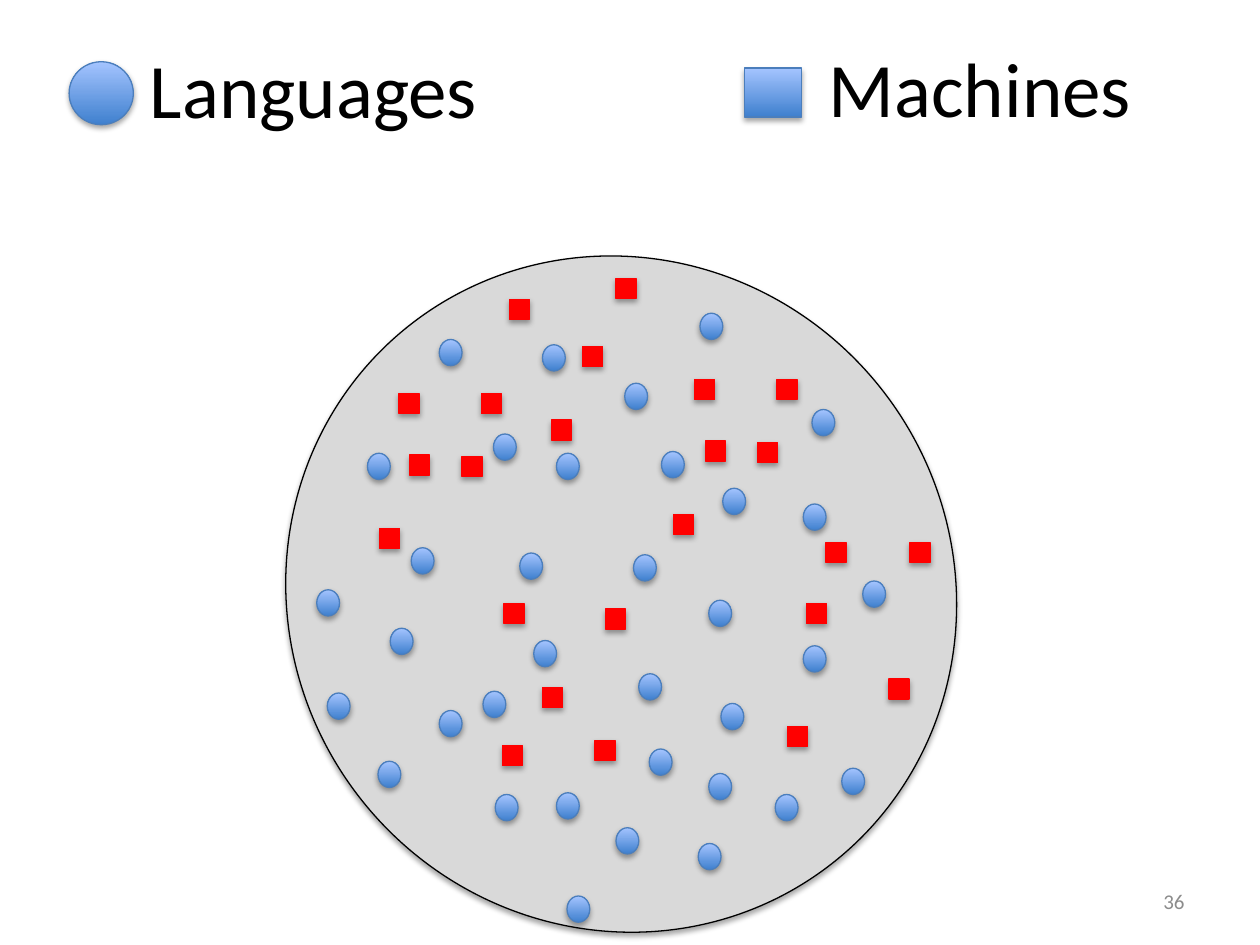
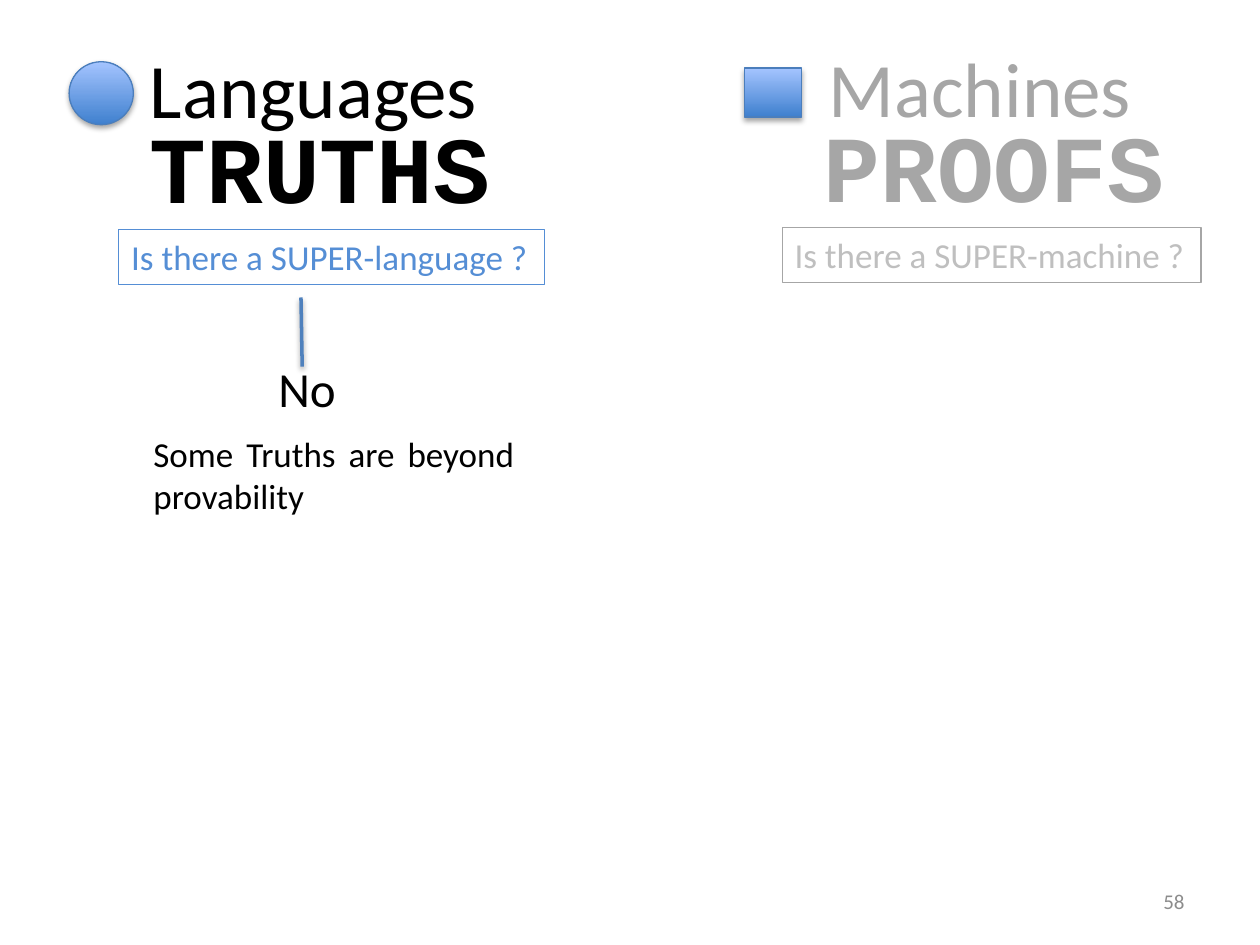
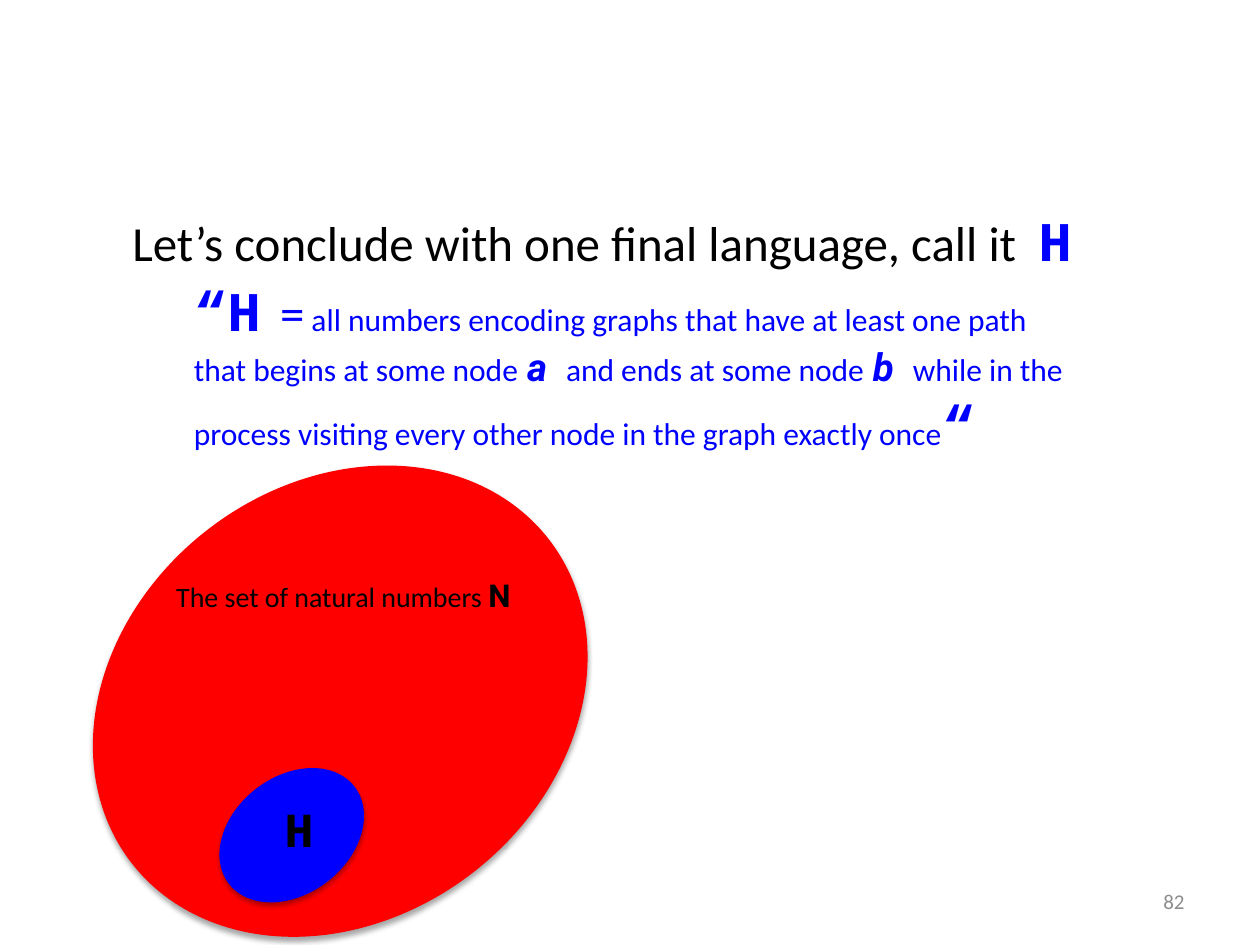
from dataclasses import dataclass, replace

from pptx import Presentation, util as u
from pptx.dml.color import RGBColor
from pptx.enum import shapes, text
from pptx.oxml import parse_xml
from pptx.oxml.ns import nsdecls

Pt = u.Pt


@dataclass(frozen=True)
class Style:
    size: int
    colour: str
    font: str = "Calibri"
    bold: bool = False
    italic: bool = False


class Theme:
    black, red, blue, grey = "000000", "FF0000", "0000FF", "A6A6A6"
    disc, sky, pale, connector = "D9D9D9", "558ED5", "BFBFBF", "4F81BD"
    dot_bottom, dot_top, dot_line = "3F80CE", "A4C4FF", "4B7EBC"
    mono, accent = "Courier New", "Roboto"
    heading, banner, answer = 44, 54, 28
    question, small, number = 20, 18, 12
    thin, tilt = 0.75, 322.2


OVAL = shapes.MSO_SHAPE.OVAL
SQUARE = shapes.MSO_SHAPE.RECTANGLE
LEFT, RIGHT, JUSTIFY = text.PP_ALIGN.LEFT, text.PP_ALIGN.RIGHT, text.PP_ALIGN.JUSTIFY

deck = Presentation()
deck.slide_width, deck.slide_height = Pt(720), Pt(540)
shadowed = []


def write(box, place, spans, align=LEFT, wrap=False, anchor=text.MSO_ANCHOR.TOP):
    """Place a text box or title and fill it with (words, style) spans."""
    box.left, box.top, box.width, box.height = map(Pt, place)
    frame = box.text_frame
    frame.auto_size = text.MSO_AUTO_SIZE.NONE
    frame.word_wrap, frame.vertical_anchor = wrap, anchor
    para = frame.paragraphs[0]
    para.alignment = align
    for words, style in spans:
        span = para.add_run()
        span.text = words
        font = para.font if len(spans) == 1 else span.font
        font.name, font.size = style.font, Pt(style.size)
        font.bold, font.italic = style.bold, style.italic
        font.color.rgb = RGBColor.from_string(style.colour)


def add_mark(page, kind, place, fill=None, line=None, rotation=0):
    """Add a shadowed shape; without a fill it gets the blue language gradient."""
    mark = page.shapes.add_shape(kind, *map(Pt, place))
    mark.rotation = rotation
    if fill:
        mark.fill.solid()
        mark.fill.fore_color.rgb = RGBColor.from_string(fill)
    else:
        mark.fill.gradient()
        mark.fill.gradient_angle = 90
        for stop, colour in zip(mark.fill.gradient_stops, (Theme.dot_bottom, Theme.dot_top)):
            stop.color.rgb = RGBColor.from_string(colour)
    mark.line.color.rgb = RGBColor.from_string(line or fill or Theme.dot_line)
    mark.line.width = Pt(Theme.thin)
    shadowed.append(mark)


# Shared: one title-only page per slide number
pages = []
for number in (36, 58, 82):
    page = deck.slides.add_slide(deck.slide_layouts[5])
    write(page.shapes.add_textbox(0, 0, 0, 0), (516, 500.5, 168, 28.75),
          [(str(number), Style(Theme.number, "8C8C8C"))],
          RIGHT, True, text.MSO_ANCHOR.MIDDLE)
    pages.append(page)
universe, questions, conclusion = pages

# Languages and machines scattered over one disc
add_mark(universe, OVAL, (165.6, 144, 378.7, 391), Theme.disc, Theme.black, Theme.tilt)

language_dots = [
    (210, 259), (318, 259), (305, 366), (297, 316), (235, 313),
    (276, 395), (365, 385), (443, 454), (371, 428), (283, 454),
    (405, 343), (493, 332), (481, 439), (459, 369), (412, 402),
    (318, 453), (405, 442), (399, 482), (352, 473), (324, 512),
    (378, 258), (464, 234), (459, 288), (413, 279), (362, 317),
    (251, 194), (400, 179), (357, 219), (310, 197), (282, 248),
    (181, 337), (223, 359), (251, 406), (216, 435), (187, 396),
]
machine_squares = [
    (288, 345), (310, 393), (346, 348), (340, 423), (287, 426),
    (472, 310), (461, 345), (520, 310), (508, 388), (450, 415),
    (397, 217), (403, 252), (444, 217), (433, 253), (385, 294),
    (291, 171), (333, 198), (352, 159), (315, 240),
    (228, 225), (234, 260), (275, 225), (264, 261), (217, 302),
]
for left, top in language_dots:
    add_mark(universe, OVAL, (left, top, 13, 15))
for left, top in machine_squares:
    add_mark(universe, SQUARE, (left, top, 11.5, 11.5), Theme.red)

# Heading legend of the first two slides
for page, square_colour, machine_colour in (
        (universe, Theme.red, Theme.black), (questions, Theme.grey, Theme.grey)):
    write(page.shapes.title, (78.5, 20.2, 203.8, 60.5),
          [("Languages", Style(Theme.heading, Theme.black))])
    write(page.shapes.add_textbox(0, 0, 0, 0), (466.5, 19.5, 188.6, 60.5),
          [("Machines", Style(Theme.heading, machine_colour))])
    add_mark(page, OVAL, (39.5, 35.3, 36.7, 36))
    add_mark(page, SQUARE, (425.5, 38.9, 32.4, 28))

# Truths and proofs, each with its question
for banner, left, top, colour in (
        ("TRUTHS", 78.5, 59, Theme.black), ("PROOFS", 463.7, 58.3, Theme.grey)):
    write(questions.shapes.add_textbox(0, 0, 0, 0), (left, top, 211, 72.7),
          [(banner, Style(Theme.banner, colour, Theme.mono, True))])

for question, place, colour, border in (
        ("Is there a SUPER-language ?", (67.9, 131.2, 243.2, 31.5), Theme.sky, Theme.sky),
        ("Is there a SUPER-machine ?", (447, 129.8, 239.4, 31.5), Theme.pale, Theme.grey)):
    box = questions.shapes.add_textbox(0, 0, 0, 0)
    write(box, place, [(question, Style(Theme.question, colour))])
    box.line.color.rgb = RGBColor.from_string(border)
    box.line.width = Pt(Theme.thin)

stem = questions.shapes.add_connector(
    shapes.MSO_CONNECTOR.STRAIGHT, Pt(172), Pt(170), Pt(172.7), Pt(209.5))
stem.line.color.rgb = RGBColor.from_string(Theme.connector)
stem.line.width = Pt(2)
shadowed.append(stem)
write(questions.shapes.add_textbox(0, 0, 0, 0), (152, 201.6, 54.7, 41),
      [("No", Style(Theme.answer, Theme.black))], wrap=True)
write(questions.shapes.add_textbox(0, 0, 0, 0), (80.6, 243.4, 220.3, 55.4),
      [("Some Truths are beyond provability", Style(Theme.question, Theme.black))],
      JUSTIFY, True)

# The final language H inside the natural numbers
symbol = Style(32, Theme.blue, Theme.mono, True)
plain = Style(Theme.small, Theme.blue)
gap = Style(22, Theme.blue, bold=True)
node = replace(gap, font=Theme.accent, italic=True)

write(conclusion.shapes.title, (68.4, 113.8, 586, 80),
      [("Let’s conclude with one final language, call it  ", Style(28, Theme.black)),
       ("H", symbol)], wrap=True)
add_mark(conclusion, OVAL, (43.9, 277.2, 301, 247), Theme.red, rotation=Theme.tilt)
write(conclusion.shapes.add_textbox(0, 0, 0, 0), (93.6, 325.4, 243.4, 28.8),
      [("The set of natural numbers ", Style(16, Theme.black)),
       ("N", Style(Theme.small, Theme.black, Theme.accent, True))], wrap=True)
add_mark(conclusion, OVAL, (121.7, 444.2, 90, 66.2), Theme.blue, rotation=Theme.tilt)
write(conclusion.shapes.add_textbox(0, 0, 0, 0), (155.5, 452.9, 31.7, 41),
      [("H", Style(Theme.answer, Theme.black, Theme.mono, True))])
write(conclusion.shapes.add_textbox(0, 0, 0, 0), (103.7, 154, 521.3, 111.6), [
    ("“H", symbol),
    (" ", replace(symbol, size=Theme.small)),
    ("=", replace(plain, size=28)),
    (" all numbers encoding graphs that have at least one path"
     " that begins at some node", plain),
    (" ", gap),
    ("a  ", node),
    ("and ends at some node", plain),
    (" ", gap),
    ("b  ", node),
    ("while in the process visiting every other node in the graph exactly once", plain),
    ("“", symbol),
], wrap=True)

# One soft shadow for every mark and the connector
for shape in shadowed:
    shape._element.spPr.append(parse_xml(
        f'<a:effectLst {nsdecls("a")}>'
        f'<a:outerShdw blurRad="{Pt(3.1)}" dist="{Pt(1.8)}" dir="5400000" rotWithShape="0">'
        '<a:srgbClr val="000000"><a:alpha val="35000"/></a:srgbClr>'
        '</a:outerShdw></a:effectLst>'))

deck.save("out.pptx")
